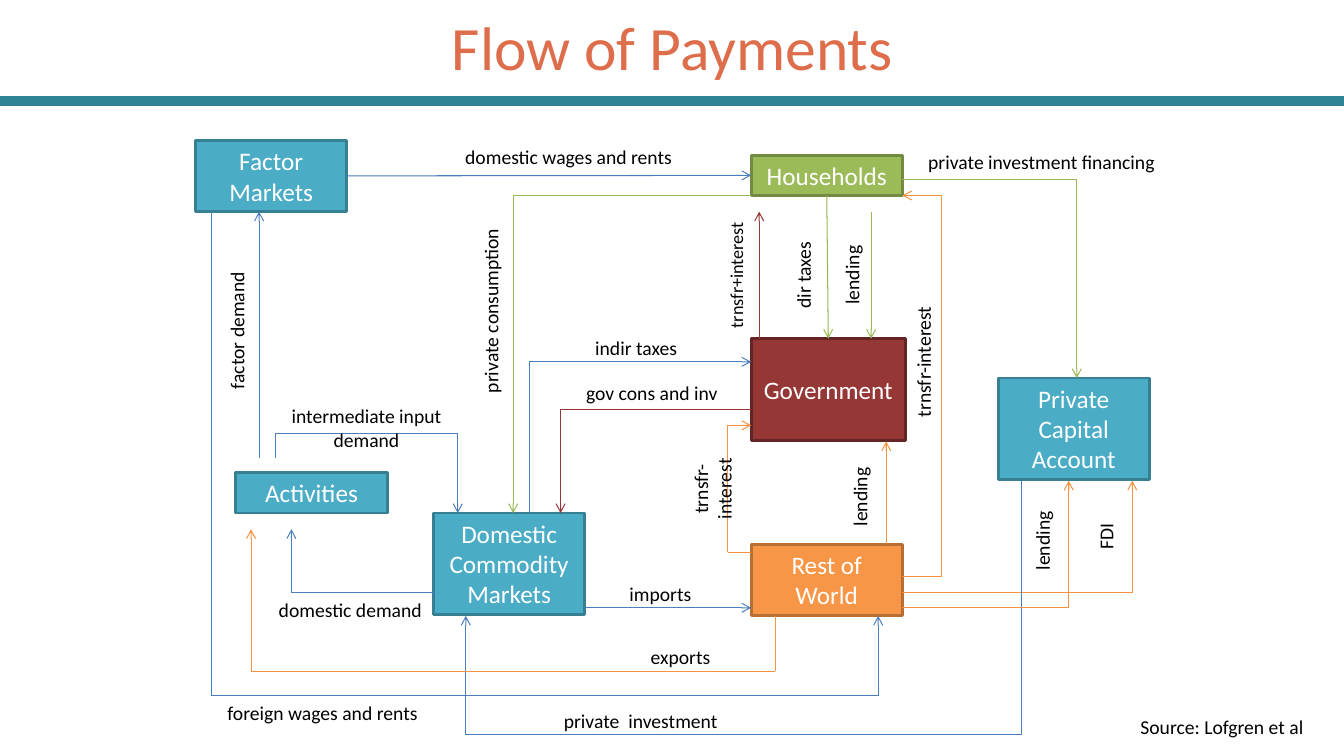
from dataclasses import dataclass
from itertools import pairwise

from lxml import etree
from pptx import Presentation
from pptx.dml.color import RGBColor
from pptx.enum.shapes import MSO_CONNECTOR, MSO_SHAPE
from pptx.enum.text import MSO_ANCHOR, MSO_AUTO_SIZE, PP_ALIGN
from pptx.oxml.ns import qn
from pptx.util import Inches, Pt

STRAIGHT = MSO_CONNECTOR.STRAIGHT
RECTANGLE = MSO_SHAPE.RECTANGLE
MIDDLE, TOP_ANCHOR = MSO_ANCHOR.MIDDLE, MSO_ANCHOR.TOP
FIT_SHAPE = MSO_AUTO_SIZE.SHAPE_TO_FIT_TEXT
CENTER = PP_ALIGN.CENTER
TOP, LEFT, BOTTOM, RIGHT = range(4)

WHITE = RGBColor(0xFF, 0xFF, 0xFF)
BLACK = RGBColor(0x00, 0x00, 0x00)
CORAL = RGBColor(0xDE, 0x6E, 0x4B)
TEAL = RGBColor(0x2F, 0x83, 0x96)
AQUA, AQUA_EDGE = RGBColor(0x4B, 0xAC, 0xC6), RGBColor(0x37, 0x7F, 0x92)
GREEN, GREEN_EDGE = RGBColor(0x9B, 0xBB, 0x59), RGBColor(0x73, 0x8A, 0x42)
RED, RED_EDGE = RGBColor(0x95, 0x37, 0x35), RGBColor(0x63, 0x25, 0x23)
ORANGE, ORANGE_EDGE = RGBColor(0xF7, 0x96, 0x46), RGBColor(0xB7, 0x6F, 0x34)
BLUE_FLOW = RGBColor(0x4B, 0x7E, 0xBC)
GREEN_FLOW = RGBColor(0x98, 0xB9, 0x55)
ORANGE_FLOW = RGBColor(0xF6, 0x92, 0x40)


@dataclass
class Account:
    name: str
    left: float
    top: float
    height: float
    fill: RGBColor = AQUA
    edge: RGBColor = AQUA_EDGE
    width: float = 1.5
    anchor: MSO_ANCHOR = MIDDLE


@dataclass
class Flow:
    """A payment route through its corner points, with an arrowhead at the last."""
    color: RGBColor
    points: list[tuple[float, float]]
    joins: tuple[tuple[str, int], ...] = ()


@dataclass
class Label:
    text: str
    left: float
    top: float
    width: float
    height: float = 0.34
    size: float = 14
    upright: bool = False


ACCOUNTS = [
    Account("Households", 7.45, 1.54, 0.4, GREEN, GREEN_EDGE),
    Account("Government", 7.45, 3.36, 1.01, RED, RED_EDGE, width=1.53),
    Account("Rest of World", 7.45, 5.4, 0.71, ORANGE, ORANGE_EDGE, anchor=TOP_ANCHOR),
    Account("Private Capital Account", 9.9, 3.75, 1.01, anchor=TOP_ANCHOR),
    Account("Domestic Commodity Markets", 4.3, 5.09, 1.01, anchor=TOP_ANCHOR),
    Account("Activities", 2.34, 4.69, 0.4),
    Account("Factor Markets", 1.94, 1.39, 0.71),
]

FLOWS = [
    Flow(BLUE_FLOW, [(3.44, 1.74), (7.45, 1.74)],
         (("Factor Markets", RIGHT), ("Households", LEFT))),
    Flow(BLUE_FLOW, [(2.57, 4.54), (2.57, 2.1)]),
    Flow(BLUE_FLOW, [(4.3, 5.88), (2.89, 5.88), (2.89, 5.25)]),
    Flow(BLUE_FLOW, [(2.73, 4.54), (2.73, 4.3), (4.54, 4.3), (4.54, 5.09)]),
    Flow(GREEN_FLOW, [(7.45, 1.94), (5.09, 1.94), (5.09, 5.09)]),
    Flow(RED, [(7.45, 4.06), (5.56, 4.06), (5.56, 5.09)]),
    Flow(BLUE_FLOW, [(5.25, 5.09), (5.25, 3.59), (7.45, 3.59)]),
    Flow(BLUE_FLOW, [(2.1, 2.1), (2.1, 6.9), (8.71, 6.9), (8.71, 6.11)]),
    Flow(RED, [(7.53, 3.36), (7.53, 2.1)]),
    Flow(GREEN_FLOW, [(8.2, 1.94), (8.22, 3.36)],
         (("Households", BOTTOM), ("Government", TOP))),
    Flow(ORANGE_FLOW, [(8.95, 5.72), (9.34, 5.72), (9.34, 1.94), (8.95, 1.94)]),
    Flow(ORANGE_FLOW, [(8.95, 5.88), (11.23, 5.88), (11.23, 4.77)]),
    Flow(BLUE_FLOW, [(10.13, 4.77), (10.13, 7.29), (4.62, 7.29), (4.62, 6.11)]),
    Flow(BLUE_FLOW, [(5.8, 6.03), (7.45, 6.03)]),
    Flow(ORANGE_FLOW, [(7.69, 6.11), (7.69, 6.66), (2.49, 6.66), (2.49, 5.25)]),
    Flow(ORANGE_FLOW, [(8.95, 6.03), (10.6, 6.03), (10.6, 4.77)]),
    Flow(ORANGE_FLOW, [(8.79, 5.4), (8.79, 4.38)]),
    Flow(GREEN_FLOW, [(8.64, 2.1), (8.64, 3.36)]),
    Flow(GREEN_FLOW, [(8.95, 1.78), (10.68, 1.78), (10.68, 3.75)]),
    Flow(ORANGE_FLOW, [(7.45, 5.48), (7.22, 5.48), (7.22, 4.22), (7.45, 4.22)]),
]

LABELS = [
    Label("domestic wages and rents", 4.3, 1.39, 2.68),
    Label("domestic demand", 2.65, 5.88, 1.65),
    Label("intermediate input demand", 2.65, 3.96, 1.97, 0.57),
    Label("gov cons and inv", 5.64, 3.73, 1.65),
    Label("indir taxes", 5.72, 3.28, 1.18),
    Label("foreign wages and rents", 2.1, 6.9, 2.2),
    Label("private  investment", 5.41, 6.98, 1.89),
    Label("imports", 5.96, 5.72, 1.18),
    Label("exports", 6.12, 6.35, 1.26),
    Label("private investment financing", 8.99, 1.44, 2.68),
    Label("Source: Lofgren et al", 11.02, 7.04, 2.2),
    Label("factor demand", 2.18, 2.57, 0.44, 1.42, upright=True),
    Label("private consumption", 4.7, 2.1, 0.44, 1.97, upright=True),
    Label("trnsfr+interest", 7.14, 2.1, 0.42, 1.26, size=13, upright=True),
    Label("dir taxes", 7.8, 2.1, 0.44, 1.26, upright=True),
    Label("lending", 8.28, 2.1, 0.44, 1.26, upright=True),
    Label("trnsfr-interest", 8.99, 2.41, 0.44, 2.36, upright=True),
    Label("trnsfr-interest", 6.78, 4.22, 0.44, 1.26, upright=True),
    Label("lending", 8.36, 4.3, 0.44, 1.26, upright=True),
    Label("lending", 10.17, 4.93, 0.44, 0.87, upright=True),
    Label("FDI", 10.8, 5.01, 0.44, 0.63, upright=True),
]


def write_text(frame, text: str, size: float, color: RGBColor, **frame_format) -> None:
    for name, value in {"word_wrap": True, **frame_format}.items():
        setattr(frame, name, value)
    para = frame.paragraphs[0]
    para.alignment = CENTER
    span = para.add_run()
    span.text = text
    for name, value in {"name": "Calibri", "size": Pt(size)}.items():
        setattr(span.font, name, value)
    span.font.color.rgb = color


def add_account(page, account: Account):
    box = page.shapes.add_shape(RECTANGLE, *map(
        Inches, (account.left, account.top, account.width, account.height)))
    box.shadow.inherit = False
    box.fill.solid()
    box.fill.fore_color.rgb = account.fill
    box.line.color.rgb = account.edge
    box.line.width = Pt(2)
    write_text(box.text_frame, account.name, 18, WHITE,
               vertical_anchor=account.anchor, auto_size=FIT_SHAPE)
    return box


def add_line(page, start: tuple[float, float], end: tuple[float, float],
             color: RGBColor, width: float = 0.75, arrow: bool = False):
    line = page.shapes.add_connector(STRAIGHT, *map(Inches, (*start, *end)))
    line.line.color.rgb = color
    line.line.width = Pt(width)
    properties = line._element.spPr
    if arrow:
        etree.SubElement(properties.find(qn("a:ln")), qn("a:tailEnd"), type="arrow")
    etree.SubElement(properties, qn("a:effectLst"))
    return line


def add_flow(page, flow: Flow, boxes: dict) -> None:
    for start, end in pairwise(flow.points):
        line = add_line(page, start, end, flow.color, arrow=end == flow.points[-1])
    if flow.joins:
        (source, source_side), (target, target_side) = flow.joins
        line.begin_connect(boxes[source], source_side)
        line.end_connect(boxes[target], target_side)


def add_label(page, label: Label) -> None:
    box = page.shapes.add_textbox(*map(
        Inches, (label.left, label.top, label.width, label.height)))
    write_text(box.text_frame, label.text, label.size, BLACK, auto_size=FIT_SHAPE)
    if label.upright:
        box.text_frame._txBody.bodyPr.set("vert", "vert270")


def main() -> None:
    deck = Presentation()
    deck.slide_width, deck.slide_height = Inches(13.33), Inches(7.5)
    page = deck.slides.add_slide(deck.slide_layouts[5])
    title = page.shapes.title
    for name, value in {"left": 2.17, "top": -0.08, "width": 9, "height": 1.08}.items():
        setattr(title, name, Inches(value))
    write_text(title.text_frame, "Flow of Payments", 44, CORAL, vertical_anchor=MIDDLE)
    add_line(page, (0, 1), (13.33, 1), TEAL, width=7)
    boxes = {account.name: add_account(page, account) for account in ACCOUNTS}
    for flow in FLOWS:
        add_flow(page, flow, boxes)
    for label in LABELS:
        add_label(page, label)
    deck.save("out.pptx")


if __name__ == "__main__":
    main()
